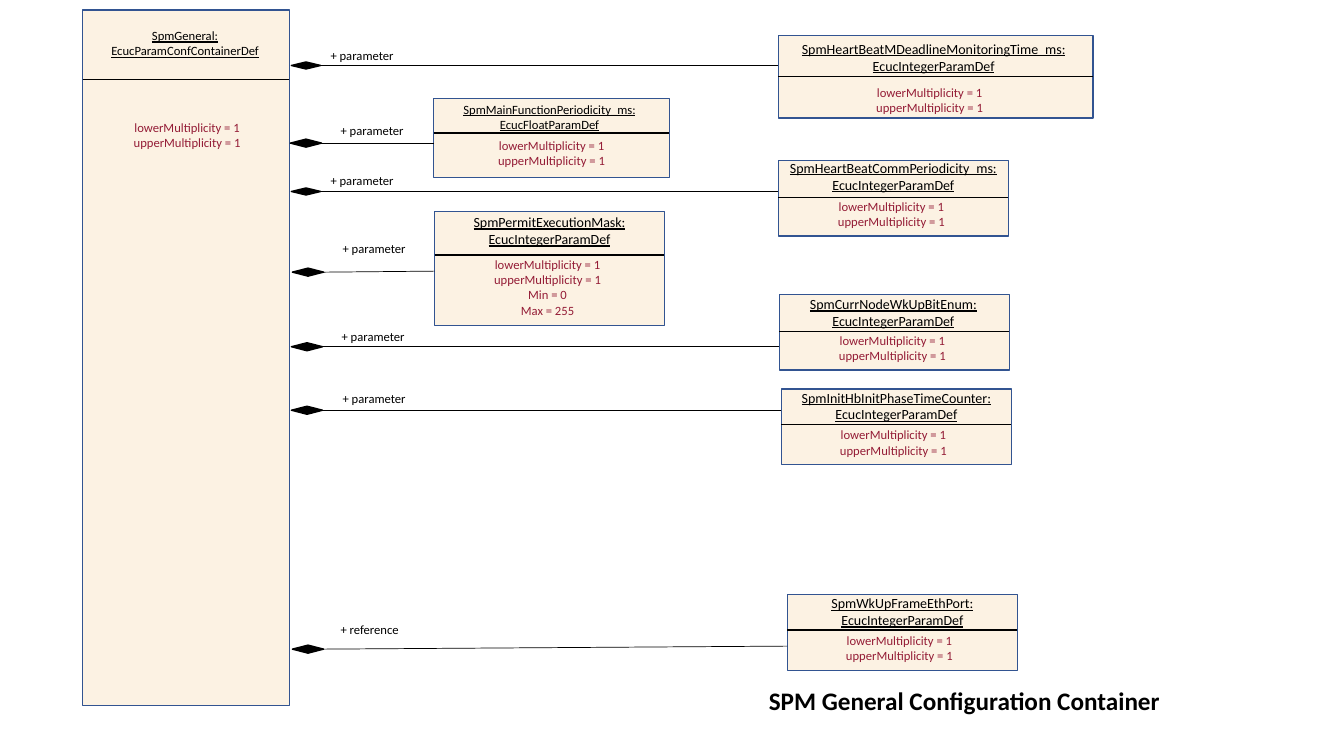
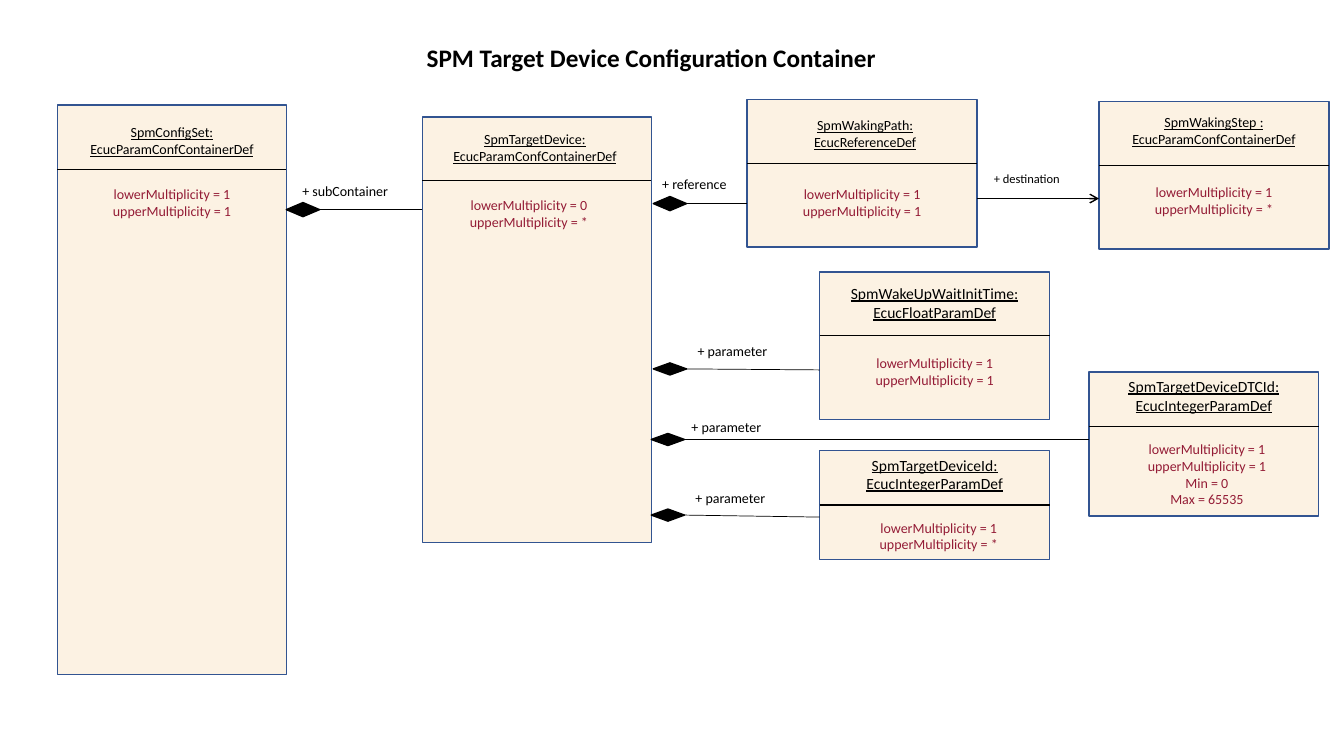
import typing

import pptx
import pptx.dml.color
import pptx.enum.shapes
import pptx.enum.text
import pptx.oxml
import pptx.oxml.ns
import pptx.util

Inches = pptx.util.Inches
Pt = pptx.util.Pt
RGBColor = pptx.dml.color.RGBColor
Shapes = pptx.enum.shapes.MSO_SHAPE
Align = pptx.enum.text.PP_ALIGN
Anchor = pptx.enum.text.MSO_ANCHOR

CREAM = RGBColor(0xFC, 0xF2, 0xE3)
BLUE = RGBColor(0x32, 0x54, 0x91)
MAROON = RGBColor(0x94, 0x1C, 0x36)
BLACK = RGBColor(0, 0, 0)

FONT = "Calibri"
ATTRIBUTE_WIDTH = 1.98
LABEL_WIDTH = 1.2

CONTAINER = "EcucParamConfContainerDef"
INTEGER = "EcucIntegerParamDef"
FLOAT = "EcucFloatParamDef"
REFERENCE = "EcucReferenceDef"
ONE = ("lowerMultiplicity = 1", "upperMultiplicity = 1")
ONE_TO_MANY = ("lowerMultiplicity = 1", "upperMultiplicity = *")
ANY = ("lowerMultiplicity = 0", "upperMultiplicity = *")


class ClassBox(typing.NamedTuple):
    """Offsets are measured from the box's top, shifts from its centre line."""
    name: str
    kind: str
    box: tuple
    rule: float
    name_top: float
    attribute_top: float
    name_shift: float = 0
    attribute_shift: float = 0
    name_size: float = 10
    attributes: tuple = ONE


class Link(typing.NamedTuple):
    """Offsets are measured from the owner's top right corner."""
    target: str
    label: str
    gap: float
    depth: float
    label_gap: float
    label_rise: float
    diamond: tuple
    drop: float = 0


SMALL = (0.29, 0.07)
LONG = (0.31, 0.08)
WIDE = (0.33, 0.12)
TALL = (0.33, 0.14)

GENERAL_BOXES = [
    ClassBox("SpmGeneral:", CONTAINER, (0.82, 0.1, 2.05, 6.9),
             0.69, 0.13, 1.04, -0.01, 0.01, 9),
    ClassBox("SpmHeartBeatMDeadlineMonitoringTime_ms:", INTEGER,
             (7.72, 0.35, 3.12, 0.82), 0.41, 0, 0.44, -0.02, -0.06),
    ClassBox("SpmMainFunctionPeriodicity_ms:", FLOAT,
             (4.3, 0.98, 2.34, 0.78), 0.34, -0.02, 0.34, -0.02, 0, 9),
    ClassBox("SpmHeartBeatCommPeriodicity_ms:", INTEGER,
             (7.72, 1.59, 2.28, 0.75), 0.37, -0.06, 0.33, 0, -0.02),
    ClassBox("SpmPermitExecutionMask:", INTEGER, (4.31, 2.1, 2.28, 1.13),
             0.43, -0.03, 0.4, 0, -0.02,
             attributes=ONE + ("Min = 0", "Max = 255")),
    ClassBox("SpmCurrNodeWkUpBitEnum:", INTEGER, (7.73, 2.92, 2.28, 0.75),
             0.37, -0.04, 0.33, -0.01, -0.02),
    ClassBox("SpmInitHbInitPhaseTimeCounter:", INTEGER,
             (7.75, 3.86, 2.28, 0.75), 0.35, -0.05, 0.33, 0, -0.03),
    ClassBox("SpmWkUpFrameEthPort:", INTEGER, (7.81, 5.9, 2.28, 0.75),
             0.35, -0.05, 0.33, 0, -0.03),
]
GENERAL_LINKS = [
    Link("SpmHeartBeatMDeadlineMonitoringTime_ms:", "+ parameter",
         0.02, 0.55, 0.31, 0.22, SMALL),
    Link("SpmMainFunctionPeriodicity_ms:", "+ parameter",
         0.01, 1.32, 0.41, 0.25, LONG),
    Link("SpmHeartBeatCommPeriodicity_ms:", "+ parameter",
         0.02, 1.8, 0.31, 0.23, SMALL),
    Link("SpmPermitExecutionMask:", "+ parameter",
         0.03, 2.6, 0.43, 0.36, LONG, -0.01),
    Link("SpmCurrNodeWkUpBitEnum:", "+ parameter",
         0.02, 3.34, 0.42, 0.23, LONG),
    Link("SpmInitHbInitPhaseTimeCounter:", "+ parameter",
         0.02, 3.97, 0.43, 0.24, LONG),
    Link("SpmWkUpFrameEthPort:", "+ reference",
         0.03, 6.34, 0.41, 0.32, LONG, -0.03),
]

TARGET_BOXES = [
    ClassBox("SpmConfigSet:", CONTAINER, (0.57, 1.04, 2.27, 5.65),
             0.64, 0.14, 0.75),
    ClassBox("SpmTargetDevice:", CONTAINER, (4.19, 1.16, 2.27, 4.22),
             0.63, 0.09, 0.74, -0.02, -0.08, attributes=ANY),
    ClassBox("SpmWakingPath:", REFERENCE, (7.41, 0.99, 2.28, 1.46),
             0.63, 0.12, 0.8, 0.03),
    ClassBox("SpmWakingStep :", CONTAINER, (10.9, 1.01, 2.28, 1.46),
             0.63, 0.07, 0.76, attributes=ONE_TO_MANY),
    ClassBox("SpmWakeUpWaitInitTime:", FLOAT, (8.13, 2.7, 2.28, 1.46),
             0.63, 0.07, 0.77, name_size=11.1),
    ClassBox("SpmTargetDeviceDTCId:", INTEGER, (10.8, 3.69, 2.28, 1.43),
             0.54, 0, 0.63, 0, 0.03, 11.1,
             ONE + ("Min = 0", "Max = 65535")),
    ClassBox("SpmTargetDeviceId:", INTEGER, (8.13, 4.47, 2.28, 1.08),
             0.54, 0, 0.63, 0, 0.04, 11.1, ONE_TO_MANY),
]
CONFIG_SET_LINKS = [
    Link("SpmTargetDevice:", "+ subContainer", 0, 1.04, 0.06, 0.32, TALL),
]
TARGET_LINKS = [
    Link("SpmWakingPath:", "+ reference", 0.02, 0.86, 0.01, 0.33, TALL),
    Link("SpmWakeUpWaitInitTime:", "+ parameter",
         0.02, 2.5, 0.36, 0.31, WIDE, 0.01),
    Link("SpmTargetDeviceDTCId:", "+ parameter",
         0, 3.2, 0.3, 0.26, WIDE),
    Link("SpmTargetDeviceId:", "+ parameter",
         0, 3.95, 0.34, 0.3, WIDE, 0.02),
]


def add_text(page, left, top, width, lines, size, height=None,
             anchor=Anchor.TOP, align=Align.CENTER, spacing=None, **formats):
    """Place lines of text; the height follows from the text by default."""
    height = height or 0.1 + len(lines) * size * 1.2 / 72
    box = page.shapes.add_textbox(
        Inches(left), Inches(top), Inches(width), Inches(height))
    frame = box.text_frame
    frame.word_wrap = True
    frame.vertical_anchor = anchor
    color = formats.pop("color", BLACK)
    for index, line in enumerate(lines):
        para = frame.paragraphs[0] if index == 0 else frame.add_paragraph()
        para.alignment = align
        para.line_spacing = spacing
        span = para.add_run()
        span.text = line
        span.font.color.rgb = color
        for key, value in {"name": FONT, "size": Pt(size), **formats}.items():
            setattr(span.font, key, value)


def add_shape(page, preset, box, fill, line):
    shape = page.shapes.add_shape(preset, *map(Inches, box))
    shape.shadow.inherit = False
    shape.fill.solid()
    shape.fill.fore_color.rgb = fill
    shape.line.color.rgb = line
    shape.line.width = Pt(1)
    return shape


def add_line(page, start, end, width, arrow=False):
    line = page.shapes.add_connector(
        pptx.enum.shapes.MSO_CONNECTOR.STRAIGHT,
        *map(Inches, start + end))
    line.line.color.rgb = BLACK
    line.line.width = Pt(width)
    properties = line._element.spPr
    if arrow:
        tail = pptx.oxml.parse_xml(
            '<a:tailEnd %s type="arrow"/>' % pptx.oxml.ns.nsdecls("a"))
        line.line._get_or_add_ln().append(tail)
    properties.append(pptx.oxml.parse_xml(
        "<a:effectLst %s/>" % pptx.oxml.ns.nsdecls("a")))
    return line


def add_class_box(page, item, attribute_size):
    """Draw one class: frame, divider, underlined name and attributes."""
    left, top, width, height = item.box
    add_shape(page, Shapes.RECTANGLE, item.box, CREAM, BLUE)
    add_line(page, (left, top + item.rule), (left + width, top + item.rule), 1)
    add_text(page, left + item.name_shift, top + item.name_top, width,
             (item.name, item.kind), item.name_size, underline=True)
    add_text(page,
             left + (width - ATTRIBUTE_WIDTH) / 2 + item.attribute_shift,
             top + item.attribute_top, ATTRIBUTE_WIDTH,
             item.attributes, attribute_size, color=MAROON)


def add_links(page, owner, links, boxes, size):
    """Draw the labelled diamond links that leave the owner's right side."""
    left, top, width, height = owner
    edge = left + width
    for link in links:
        start = edge + link.gap
        middle = top + link.depth
        wide, tall = link.diamond
        diamond = add_shape(page, Shapes.DIAMOND,
                            (start, middle - tall / 2, wide, tall),
                            BLACK, BLACK)
        line = add_line(page, (start + wide, middle),
                        (boxes[link.target][0], middle + link.drop), 0.5)
        line.begin_connect(diamond, 3)
        add_text(page, edge + link.label_gap, middle - link.label_rise,
                 LABEL_WIDTH, (link.label,), size, align=Align.LEFT)


def add_title(page, box, title):
    left, top, width, height = box
    add_text(page, left, top, width, (title,), 18, height,
             Anchor.BOTTOM, spacing=0.9, bold=True)


def add_diagram(deck, title, title_box, classes, links, size):
    """Build a page; links maps each owner's name to its outgoing links."""
    page = deck.slides.add_slide(deck.slide_layouts[6])
    boxes = {item.name: item.box for item in classes}
    for item in classes:
        add_class_box(page, item, size)
    for owner, outgoing in links.items():
        add_links(page, boxes[owner], outgoing, boxes, size)
    add_title(page, title_box, title)
    return page, boxes


def add_destination(page, source, target):
    """Draw the arrow from one box to the next, with its label."""
    start = source[0] + source[2]
    level = source[1] + 0.98
    add_line(page, (start, level), (target[0], level), 1, arrow=True)
    add_text(page, start + 0.07, level - 0.32, 1, ("+ destination",), 8.9,
             align=Align.LEFT)


def main():
    deck = pptx.Presentation()
    deck.slide_width = Inches(13.33)
    deck.slide_height = Inches(7.5)

    add_diagram(deck, "SPM General Configuration Container",
                (7.33, 6.67, 4.47, 0.48), GENERAL_BOXES,
                {"SpmGeneral:": GENERAL_LINKS}, 9)
    page, boxes = add_diagram(
        deck, "SPM Target Device Configuration Container",
        (3.96, 0.22, 5, 0.55), TARGET_BOXES,
        {"SpmConfigSet:": CONFIG_SET_LINKS, "SpmTargetDevice:": TARGET_LINKS},
        10)
    add_destination(page, boxes["SpmWakingPath:"], boxes["SpmWakingStep :"])

    deck.save("out.pptx")


if __name__ == "__main__":
    main()
